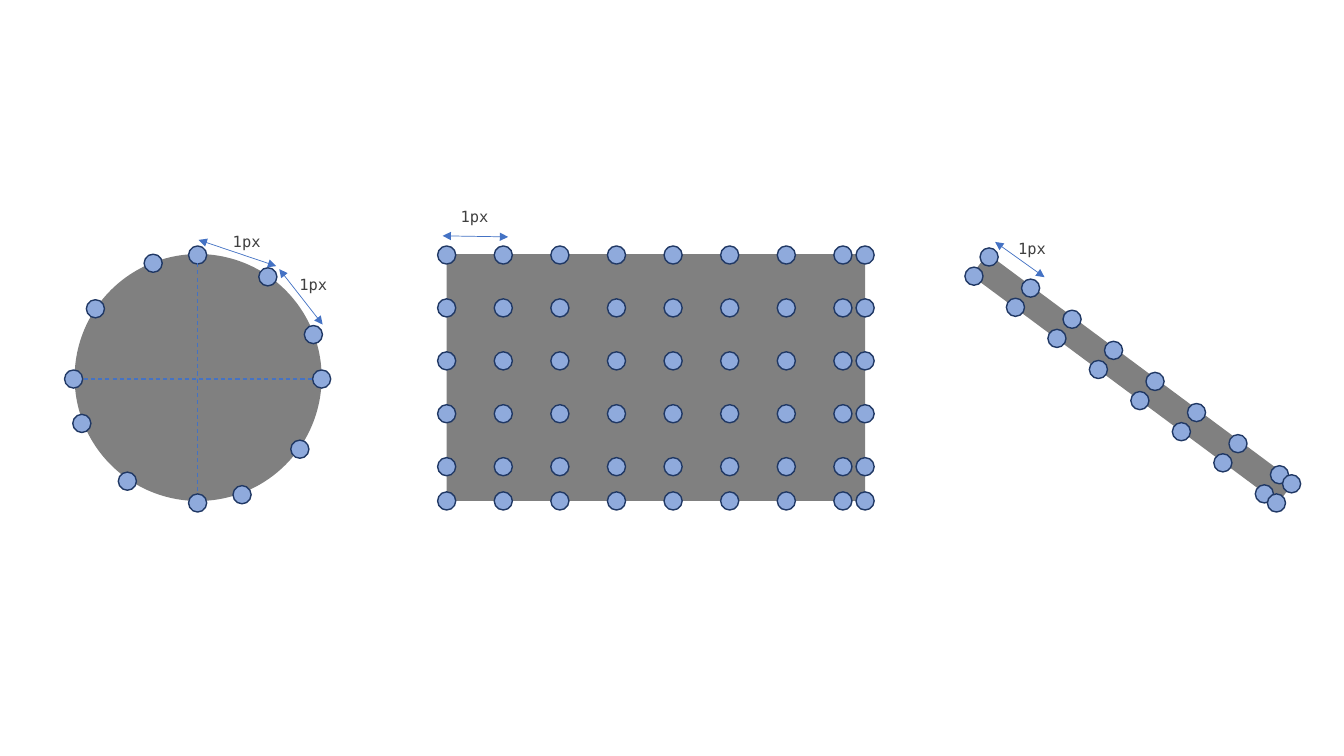
from itertools import product
from math import cos, radians, sin

from lxml.etree import SubElement
from pptx import Presentation
from pptx.dml.color import RGBColor
from pptx.enum.dml import MSO_LINE_DASH_STYLE as Dash
from pptx.enum.shapes import MSO_CONNECTOR, MSO_SHAPE as Shape
from pptx.enum.text import MSO_AUTO_SIZE as AutoSize
from pptx.oxml.ns import qn
from pptx.util import Inches, Pt


def color(hex_text):
    return RGBColor.from_string(hex_text)


def write(frame, text, size=11, font="DejaVu Sans Mono", ink="404040"):
    span = frame.paragraphs[0].add_run()
    span.text = text
    span.font.size = Pt(size)
    span.font.name = font
    span.font.color.rgb = color(ink)


class Sketch:
    body_fill = "808080"
    dot_fill = "8FAADC"
    dot_line = "203864"
    accent = "4472C4"
    dot_size = 0.18

    def __init__(self, slide):
        self.shapes = slide.shapes

    def body(self, kind, left, top, width, height, fill=body_fill, turn=0):
        shape = self.shapes.add_shape(
            kind, Inches(left), Inches(top), Inches(width), Inches(height))
        shape.shadow.inherit = False
        shape.rotation = turn
        shape.fill.solid()
        shape.fill.fore_color.rgb = color(fill)
        shape.line.fill.background()
        return shape

    def dot(self, x, y):
        size = self.dot_size
        shape = self.body(Shape.OVAL, x - size / 2, y - size / 2, size, size,
                          self.dot_fill)
        shape.line.color.rgb = color(self.dot_line)
        shape.line.width = Pt(1)

    def line(self, start, end, width):
        line = self.shapes.add_connector(
            MSO_CONNECTOR.STRAIGHT, *map(Inches, (*start, *end)))
        line.line.color.rgb = color(self.accent)
        line.line.width = Pt(width)
        SubElement(line._element.spPr, qn("a:effectLst"))
        return line

    def dashed(self, start, end):
        self.line(start, end, 0.75).line.dash_style = Dash.DASH

    def measure(self, start, end, label_left, label_top):
        """Double-headed arrow with its one-pixel label."""
        outline = self.line(start, end, 0.5).line._get_or_add_ln()
        for tag in ("a:headEnd", "a:tailEnd"):
            SubElement(outline, qn(tag), type="triangle")
        box = self.shapes.add_textbox(
            Inches(label_left), Inches(label_top), Inches(0.48), Inches(0.29))
        box.text_frame.word_wrap = False
        box.text_frame.auto_size = AutoSize.SHAPE_TO_FIT_TEXT
        write(box.text_frame, "1px")


deck = Presentation()
deck.slide_width, deck.slide_height = Inches(13.33), Inches(7.5)
page = deck.slides.add_slide(deck.slide_layouts[6])
sketch = Sketch(page)

# Grey bodies: circle, rectangle and slanted strip
sketch.body(Shape.OVAL, 0.74, 2.52, 2.45, 2.45)
sketch.body(Shape.RECTANGLE, 4.43, 2.52, 4.15, 2.45)
sketch.body(Shape.RECTANGLE, 9.34, 3.62, 3.79, 0.27, turn=36.6)

# Circle: three samples per quarter, counted clockwise from the top
center_x, center_y, radius = 1.96, 3.76, 1.23
for quarter, step in product(range(4), range(3)):
    angle = radians(90 * quarter + 34.5 * step)
    sketch.dot(center_x + radius * sin(angle), center_y - radius * cos(angle))
sketch.dashed((0.83, center_y), (3.1, center_y))
sketch.dashed((center_x, 2.61), (center_x, 4.88))
sketch.measure((1.97, 2.38), (2.74, 2.64), 2.21, 2.25)
sketch.measure((2.77, 2.67), (3.2, 3.22), 2.87, 2.68)

# Rectangle: even steps, then a shorter one to the far edge
columns = [4.43 + 3.93 * i / 7 for i in range(8)] + [8.58]
rows = [2.53 + 2.1 * i / 4 for i in range(5)] + [4.97]
for y, x in product(rows, columns):
    sketch.dot(x, y)
sketch.measure((4.39, 2.34), (5.04, 2.35), 4.47, 2.01)

# Strip: the same run of samples along its lower and upper edge
run = [(2.88 * i / 7, 2.16 * i / 7) for i in range(8)] + [(3, 2.25)]
for (edge_x, edge_y), (across, down) in product([(9.66, 2.74), (9.81, 2.55)], run):
    sketch.dot(edge_x + across, edge_y + down)
sketch.measure((9.87, 2.4), (10.36, 2.75), 10, 2.32)

deck.save("out.pptx")
